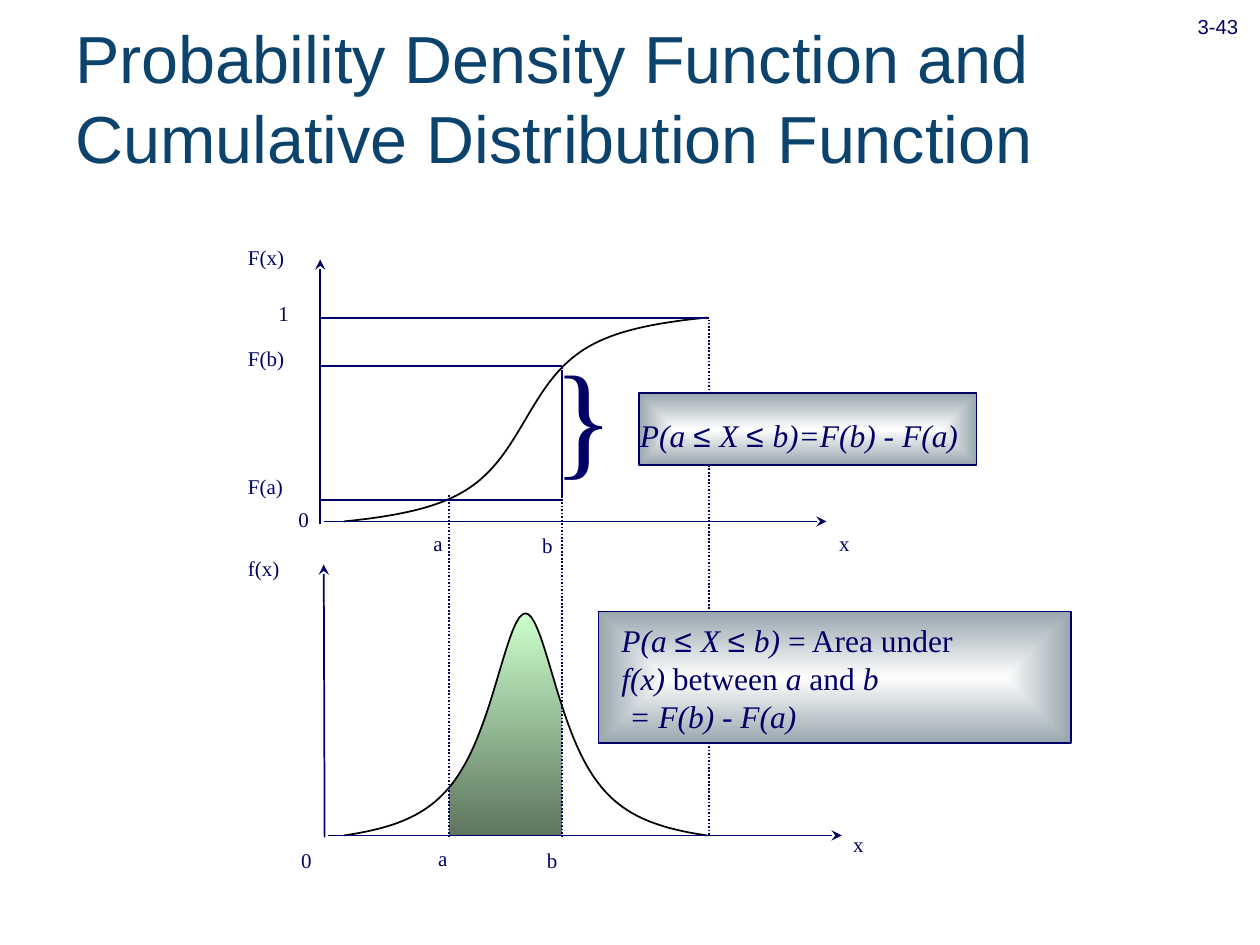
from math import atan

from lxml import etree
from pptx import Presentation
from pptx.dml.color import RGBColor
from pptx.enum.dml import MSO_LINE
from pptx.enum.shapes import MSO_CONNECTOR, MSO_SHAPE
from pptx.enum.text import MSO_ANCHOR, PP_ALIGN
from pptx.oxml import parse_xml
from pptx.oxml.ns import qn
from pptx.util import Pt

DOT = MSO_LINE.ROUND_DOT
RECT = MSO_SHAPE.RECTANGLE
STRAIGHT = MSO_CONNECTOR.STRAIGHT
MIDDLE = MSO_ANCHOR.MIDDLE
CENTER = PP_ALIGN.CENTER
NAVY, BLACK = "000066", "000000"
TIMES, ARIAL = "Times New Roman", "Arial"
NS = "http://schemas.openxmlformats.org/drawingml/2006/main"

rgb = RGBColor.from_string
deck = Presentation()
deck.slide_width, deck.slide_height = Pt(720), Pt(540)
slide = deck.slides.add_slide(deck.slide_layouts[6])
shapes = slide.shapes


def line(x1, y1, x2, y2, dash=None, arrow=False):
    rule = shapes.add_connector(STRAIGHT, Pt(x1), Pt(y1), Pt(x2), Pt(y2))
    rule.line.color.rgb = rgb(NAVY)
    rule.line.width = Pt(1)
    if dash:
        rule.line.dash_style = dash
    props = rule._element.spPr
    if arrow:
        etree.SubElement(props.find(qn("a:ln")), qn("a:tailEnd"),
                         type="stealth")
    etree.SubElement(props, qn("a:effectLst"))


def text(x, y, w, h, paras, wrap=False, **base):
    box = shapes.add_textbox(Pt(x), Pt(y), Pt(w), Pt(h))
    frame = box.text_frame
    frame.word_wrap = wrap
    for i, runs in enumerate(paras):
        para = frame.paragraphs[0] if i == 0 else frame.add_paragraph()
        for words, extra in runs:
            run = para.add_run()
            run.text = words
            form = {"name": TIMES, "size": Pt(12), **base, **extra}
            for key, value in form.items():
                setattr(run.font, key, value)
            run.font.color.rgb = rgb(NAVY)
    return frame


# Axes, bounds and the shared bell model
left, right, mid, gamma = 196.5, 404, 300.3, 26
a, b = 256.5, 321
half = right - mid
edge = 1 / (1 + (half / gamma) ** 2)
low, high = 298, 181.5
floor, peak = 477.4, 350.5
xs = [left + (right - left) * i / 120 for i in range(121)]
pdf, cdf = [], []
for x in xs:
    z = (x - mid) / gamma
    bell = (1 / (1 + z * z) - edge) / (1 - edge)
    share = 0.5 + 0.5 * atan(z) / atan(half / gamma)
    pdf.append((x, floor - bell * (floor - peak)))
    cdf.append((x, low - share * (low - high)))
area = [(a, floor)] + [p for p in pdf if a <= p[0] <= b] + [(b, floor)]

# Shaded area, drop line, formula boxes and curves
graded = []
for points, shut in ((area, True), (pdf, False), (cdf, False)):
    spots = [(Pt(x), Pt(y)) for x, y in points]
    pen = shapes.build_freeform(*spots[0])
    pen.add_line_segments(spots[1:], close=shut)
    form = pen.convert_to_shape()
    form.shadow.inherit = False
    if shut:
        form.line.fill.background()
        graded.append((form, "CCFFCC", "5E755E", False))
        line(405, 477, 405, 183, DOT)
        for spot in ((365, 224.8, 193, 41), (342, 349.4, 270, 75.4)):
            card = shapes.add_shape(RECT, *map(Pt, spot))
            card.shadow.inherit = False
            card.line.color.rgb = rgb(NAVY)
            card.line.width = Pt(1)
            graded.append((card, "FEFEFE", "98A6AE", True))
    else:
        form.fill.background()
        form.line.color.rgb = rgb(BLACK)
        form.line.width = Pt(1)

# Gradients: downward for the area, from the centre for the boxes
for form, first, last, inner in graded:
    form.fill.gradient()
    form.fill.gradient_angle = 270
    for stop, tone in zip(form.fill.gradient_stops, (first, last)):
        stop.color.rgb = rgb(tone)
    if inner:
        lin = form._element.spPr.find(".//" + qn("a:lin"))
        lin.getparent().replace(lin, parse_xml(
            f'<a:path xmlns:a="{NS}" path="rect"><a:fillToRect l="50000" '
            't="50000" r="50000" b="50000"/></a:path>'))

# Axes
for ends in ((185, 298, 472.3, 298), (183, 299.5, 183, 148.3),
             (185.5, 478.5, 185, 322.6), (187.2, 477.4, 481, 477.4)):
    line(*ends, arrow=True)

# Guides
line(a, 478.5, a, 283, DOT)
line(b, 478.5, b, 210, DOT)
for y, end in ((285.8, 321.5), (209.3, b), (181.8, 405)):
    line(end, y, 183, y)
line(b, 211.5, b, 284.5)

# Axis labels
for words, x, y in (
        ("F(x)", 134.6, 136.4), ("1", 152, 168.5), ("F(b)", 134.6, 194),
        ("F(a)", 134.6, 267), ("0", 163.5, 286), ("a", 240.6, 299.7),
        ("b", 302.7, 300.9), ("x", 472.4, 299.7), ("f(x)", 134.6, 314),
        ("0", 165, 481), ("a", 243.3, 479.7), ("b", 305.5, 481),
        ("x", 480.4, 471.8)):
    text(x, y, 20 if len(words) == 1 else 35, 21.6, [[(words, {})]])
text(309.4, 189.4, 49, 93.6, [[("}", {})]], size=Pt(72))

# Formulas
sign, plain = {"name": ARIAL}, {"italic": False}
event = [("P(a ", {}), ("≤ ", sign), ("X ", {}), ("≤ ", sign)]
text(358.6, 234, 213, 29, [event + [("b)=F(b) - F(a)", {})]],
     size=Pt(18), italic=True)
rule = event + [("b) ", {}), ("= Area under ", plain), ("f(x) ", {}),
                ("between ", plain), ("a", {}), (" and ", plain), ("b", {})]
frame = text(348, 351.4, 210, 72, [rule, [("= F(b) - F(a)", {})]], True,
             size=Pt(18), italic=True)
frame.paragraphs[1]._p.get_or_add_pPr().set("marL", str(Pt(4.5)))

# Title and page number
title = text(36, 10.2, 667.4, 90, [[(
    "Probability Density Function and Cumulative Distribution Function",
    {})]], True, name=ARIAL, size=Pt(38))
title.vertical_anchor = MIDDLE
title.paragraphs[0].runs[0].font.color.rgb = rgb("0C436C")
page = text(669, -9, 54, 34.6, [[("3-43", {})]], True,
            name=ARIAL, size=Pt(20))
page.paragraphs[0].alignment = CENTER
page.paragraphs[0].runs[0].font._element.set("baseline", "-25000")

deck.save("out.pptx")
